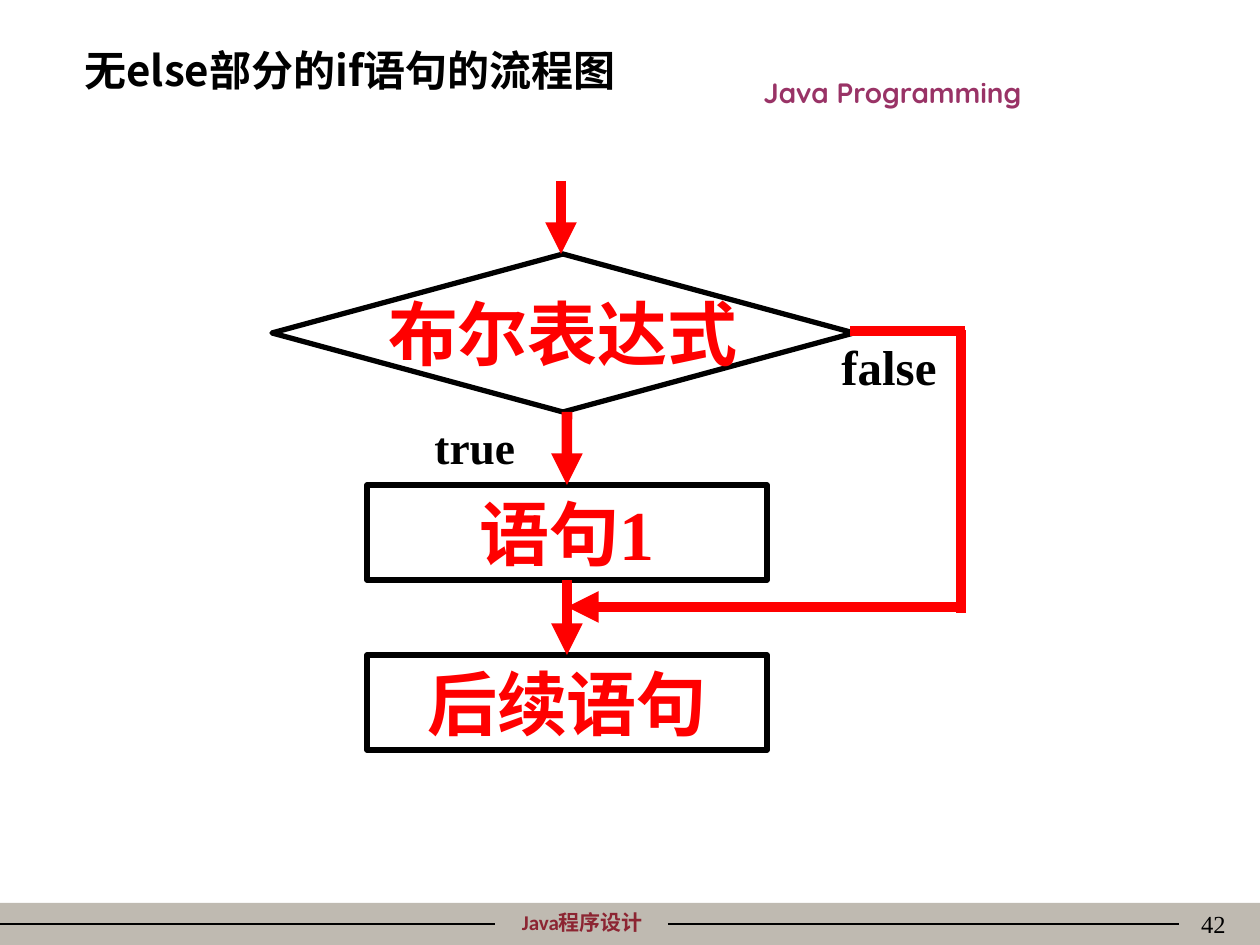
from lxml import etree
from pptx import Presentation
from pptx import util as u
from pptx.dml.color import RGBColor
from pptx.enum import shapes, text
from pptx.oxml.ns import qn

PX = 914400 / 126
SERIF, CJK = "Times New Roman", "Noto Sans CJK SC"
RED, BLACK = "FF0000", "000000"
LEFT, CENTER, RIGHT = text.PP_ALIGN.LEFT, text.PP_ALIGN.CENTER, text.PP_ALIGN.RIGHT
TOP, MIDDLE, BOTTOM = text.MSO_ANCHOR.TOP, text.MSO_ANCHOR.MIDDLE, text.MSO_ANCHOR.BOTTOM


def px(*values):
    return [u.Emu(round(v * PX)) for v in values]


def rgb(value):
    return RGBColor.from_string(value)


def write(sp, words, size=14, font=SERIF, color=BLACK, bold=True,
          align=LEFT, anchor=TOP, wrap=True):
    tf = sp.text_frame
    tf.word_wrap = wrap
    tf.vertical_anchor = anchor
    p = tf.paragraphs[0]
    p.alignment = align
    r = p.add_run()
    r.text = words
    r.font.size, r.font.bold, r.font.name = u.Pt(size), bold, font
    r.font.color.rgb = rgb(color)
    etree.SubElement(r._r.get_or_add_rPr(), qn("a:ea"), typeface=CJK)


def label(s, box, words, **fmt):
    write(s.shapes.add_textbox(*px(*box)), words, **fmt)


def shape(s, kind, box, fill=None, line=None):
    sp = s.shapes.add_shape(kind, *px(*box))
    sp.shadow.inherit = False
    if fill:
        sp.fill.solid()
        sp.fill.fore_color.rgb = rgb(fill)
    else:
        sp.fill.background()
    if line:
        sp.line.color.rgb = rgb(line)
        sp.line.width = u.Pt(3)
    else:
        sp.line.fill.background()
    return sp


def line(s, start, end, color=RED, width=6, arrow=False):
    c = s.shapes.add_connector(shapes.MSO_CONNECTOR.STRAIGHT, *px(*start, *end))
    c.line.color.rgb = rgb(color)
    c.line.width = u.Pt(width)
    if arrow:
        etree.SubElement(c.line._get_or_add_ln(), qn("a:tailEnd"), type="triangle")
    etree.SubElement(c._element.spPr, qn("a:effectLst"))
    return c


def node(s, kind, box, words):
    """Outlined flowchart step with large red text."""
    sp = shape(s, kind, box, line=BLACK)
    write(sp, words, size=40, color=RED, align=CENTER, anchor=MIDDLE, wrap=False)
    return sp


def header(s, x, y, w, h):
    label(s, (x, y, w, h), "无else部分的if语句的流程图", size=24, font=CJK, anchor=BOTTOM)
    label(s, (x + 568, y + 32, 505, 47), "Java Programming", size=16,
          font="Quicksand", color="993366", align=CENTER)


def footer(s, x, y, w, h):
    shape(s, shapes.MSO_SHAPE.RECTANGLE, (x, y, w, h), fill="BFBAB1")
    label(s, (x + 456, y, 253, 38), "Java程序设计", size=12, font="Calibri",
          color="8C2532", align=CENTER, anchor=BOTTOM)
    for left, right in ((0, 495), (668, 1179)):
        line(s, (x + left, y + 21), (x + right, y + 21), BLACK, 0.75)
    label(s, (x + 976, y, 262, 63), "42", bold=False, align=RIGHT)


def flowchart(s, x, y, w, h):
    """The test, its two branches and the step where they meet again."""
    step_w, step_h, arrow_h = 400, 95, 73
    mid, bypass = x + 295, x + w
    test_y, test_h = y + arrow_h, 158
    step_y = test_y + test_h + arrow_h
    next_y = y + h - step_h
    join_y = step_y + step_h + 27

    label(s, (x + 150, test_y + test_h + 1, 166, 69), "true", size=26)
    label(s, (x + 557, test_y + 76, 168, 63), "false", size=28)
    step, following = [
        node(s, shapes.MSO_SHAPE.FLOWCHART_PROCESS,
             (mid - step_w // 2, top, step_w, step_h), words)
        for top, words in ((step_y, "语句1"), (next_y, "后续语句"))]
    node(s, shapes.MSO_SHAPE.FLOWCHART_DECISION, (x, test_y, 582, test_h), "布尔表达式")

    true_arrow = line(s, (mid, test_y + test_h), (mid, step_y), arrow=True)
    true_arrow.end_connect(step, 0)
    next_arrow = line(s, (mid, step_y + step_h), (mid, next_y), arrow=True)
    next_arrow.begin_connect(step, 2)
    next_arrow.end_connect(following, 0)

    line(s, (bypass + 4, join_y), (mid, join_y), arrow=True)
    line(s, (bypass, join_y + 6), (bypass, test_y + 76))
    line(s, (x + 578, test_y + 77), (bypass + 4, test_y + 77))
    line(s, (mid - 6, y), (mid - 6, test_y), arrow=True)


def main():
    prs = Presentation()
    prs.slide_width, prs.slide_height = px(1260, 945)
    s = prs.slides.add_slide(prs.slide_layouts[6])
    footer(s, 0, 903, 1260, 42)
    header(s, 72, 37, 1075, 64)
    flowchart(s, 272, 181, 689, 569)
    prs.save("out.pptx")


if __name__ == "__main__":
    main()
